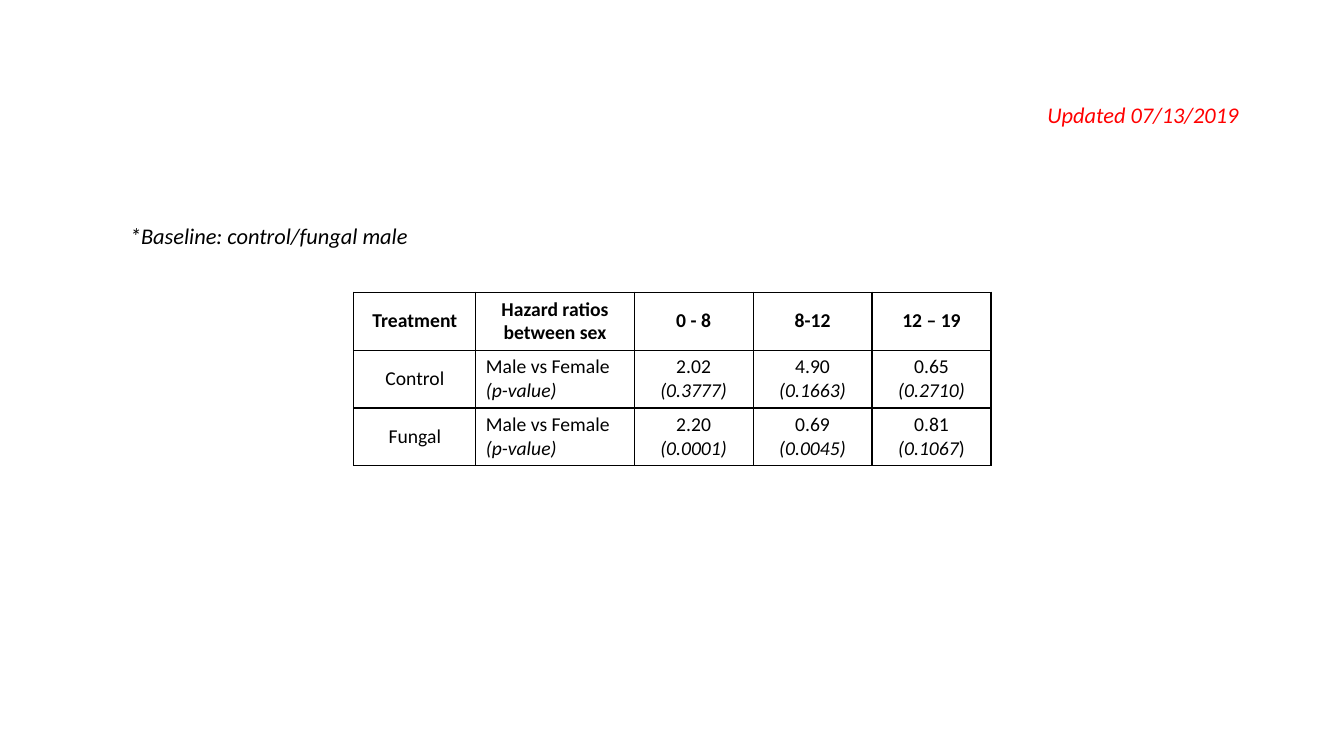
import pptx
import pptx.dml.color
import pptx.enum.text
import pptx.oxml
import pptx.oxml.ns
import pptx.util
from pptx.util import Inches

ALIGN = pptx.enum.text.PP_ALIGN
ANCHOR = pptx.enum.text.MSO_ANCHOR


def color(hex_value):
    return pptx.dml.color.RGBColor.from_string(hex_value)


class SlideBuilder:
    font_name = "Calibri"
    black = "000000"
    red = "FF0000"
    note_size = 16
    table_size = 14
    border_width = 1

    def __init__(self, slide):
        self.slide = slide

    def add_run(self, paragraph, text, size, hex_value, **formats):
        run = paragraph.add_run()
        run.text = text
        formats.update(name=self.font_name, size=pptx.util.Pt(size))
        for name, value in formats.items():
            setattr(run.font, name, value)
        run.font.color.rgb = color(hex_value)

    def add_note(self, text, left, top, width, height, hex_value):
        box = self.slide.shapes.add_textbox(
            Inches(left), Inches(top), Inches(width), Inches(height))
        frame = box.text_frame
        frame.word_wrap = False
        frame.auto_size = pptx.enum.text.MSO_AUTO_SIZE.SHAPE_TO_FIT_TEXT
        self.add_run(frame.paragraphs[0], text, self.note_size, hex_value, italic=True)

    def add_borders(self, cell):
        properties = cell._tc.get_or_add_tcPr()
        width = pptx.util.Pt(self.border_width)
        for side in ("lnL", "lnR", "lnT", "lnB"):
            properties.append(pptx.oxml.parse_xml(
                f'<a:{side} {pptx.oxml.ns.nsdecls("a")} w="{width}"><a:solidFill>'
                f'<a:srgbClr val="{self.black}"/></a:solidFill></a:{side}>'))

    def fill_cell(self, cell, lines, bold, align, anchor):
        self.add_borders(cell)
        cell.fill.background()
        cell.vertical_anchor = anchor
        frame = cell.text_frame
        for index, runs in enumerate(lines):
            paragraph = frame.add_paragraph() if index else frame.paragraphs[0]
            paragraph.alignment = align
            for text in runs:
                # p-values open with a bracket and are italic
                self.add_run(paragraph, text, self.table_size, self.black,
                             bold=bold, italic=text.startswith("("))

    def add_table(self, rows, left, top, column_widths, row_height):
        table = self.slide.shapes.add_table(
            len(rows), len(column_widths), Inches(left), Inches(top),
            Inches(sum(column_widths)), Inches(row_height * len(rows))).table
        table.horz_banding = False
        for column, width in zip(table.columns, column_widths):
            column.width = Inches(width)
        for row_index, row in enumerate(rows):
            table.rows[row_index].height = Inches(row_height)
            header = row_index == 0
            for column_index, lines in enumerate(row):
                label = column_index == 1 and not header
                middle = header or column_index == 0
                self.fill_cell(table.cell(row_index, column_index), lines, header,
                               ALIGN.LEFT if label else ALIGN.CENTER,
                               ANCHOR.MIDDLE if middle else ANCHOR.TOP)


def main():
    presentation = pptx.Presentation()
    presentation.slide_width = Inches(13.33)
    presentation.slide_height = Inches(7.5)
    builder = SlideBuilder(presentation.slides.add_slide(presentation.slide_layouts[6]))

    # Hazard ratio table: each cell is a list of lines, each line a list of runs
    headings = ["Treatment", "Hazard ratios between sex", "0 - 8", "8-12", "12 – 19"]
    comparison = [["Male vs Female"], ["(p-value)"]]
    rows = [
        [[[heading]] for heading in headings],
        [[["Control"]], comparison, [["2.02"], ["(0.3777)"]],
         [["4.90"], ["(0.1663)"]], [["0.65"], ["(0.2710)"]]],
        [[["Fungal"]], comparison, [["2.20"], ["(0.0001)"]],
         [["0.69"], ["(0.0045)"]], [["0.81"], ["(0.1067", ")"]]],
    ]
    builder.add_table(rows, 3.51, 2.9, [1.21, 1.57] + [1.18] * 3, 0.57)

    # Notes
    builder.add_note("*Baseline: control/fungal male", 1.19, 2.15, 2.99, 0.37, builder.black)
    builder.add_note("Updated 07/13/2019", 10.29, 0.95, 2.13, 0.37, builder.red)

    presentation.save("out.pptx")


if __name__ == "__main__":
    main()
